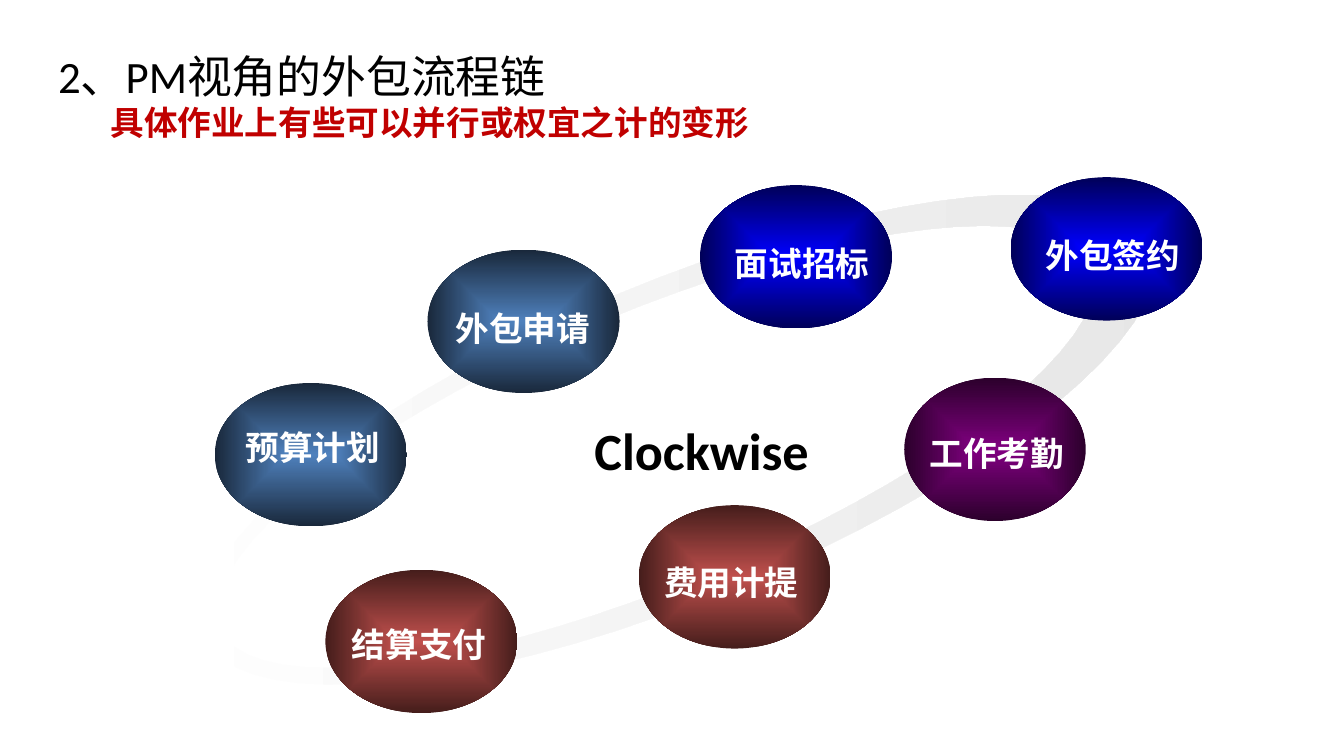
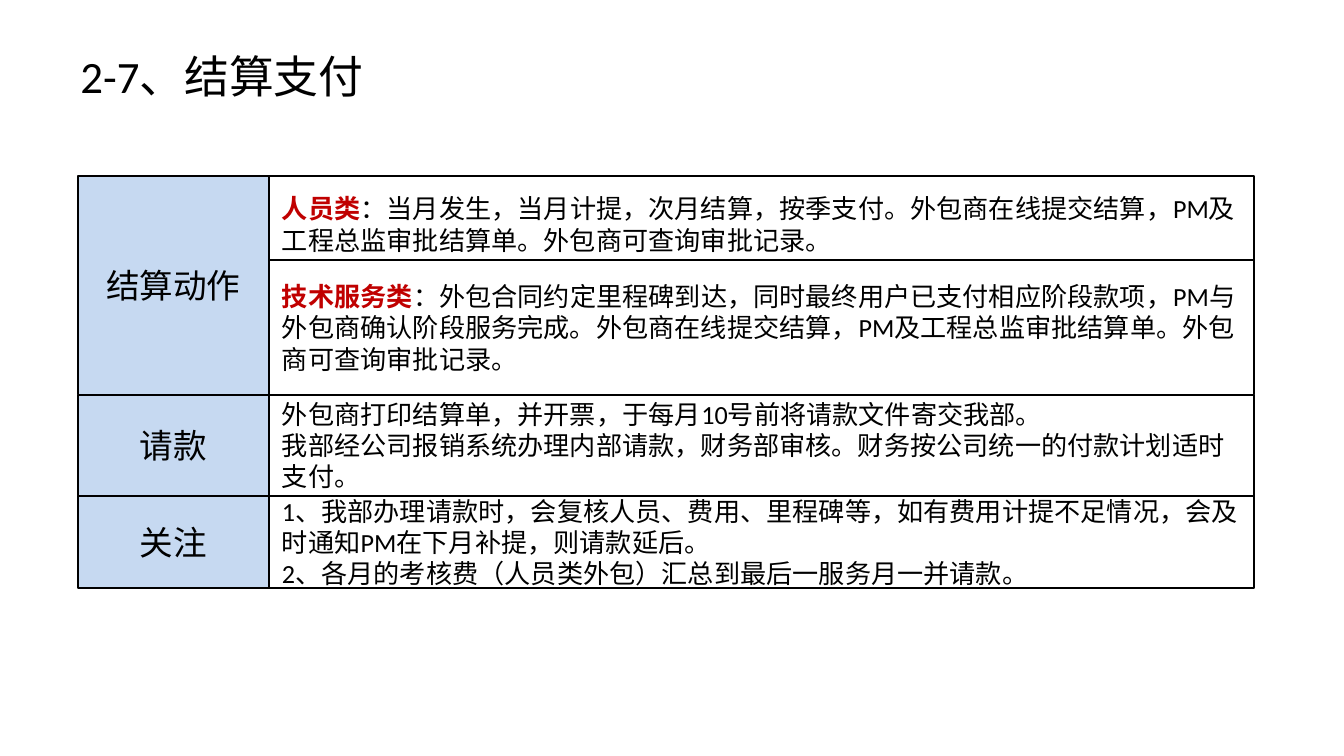
import math

from pptx import Presentation, util as u
from pptx.dml.color import RGBColor
from pptx.enum import shapes, text
from pptx.oxml import parse_xml
from pptx.oxml.ns import nsdecls, qn

COLOURS = {
    "ink": "000000",
    "accent": "C00000",
    "light": "FFFFFF",
    "ring": "E6E6E6",
    "header": "C6D9F1",
}
PHASES = {
    "plan": ("4F81BD", "19283B"),
    "contract": ("0000FF", "000058"),
    "work": ("800080", "2C002C"),
    "payment": ("C0504D", "451D1B"),
}
STEPS = [
    ("预算计划", "plan", 4.06, 7.24, 3.63, 0.33, 0.71),
    ("外包申请", "plan", 8.08, 4.72, 3.63, 0.28, 0.97),
    ("面试招标", "contract", 13.23, 3.5, 3.63, 0.41, 0.97),
    ("外包签约", "contract", 19.1, 3.35, 3.63, 0.41, 0.97),
    ("工作考勤", "work", 17.09, 7.14, 3.43, 0.23, 0.91),
    ("费用计提", "payment", 12.07, 9.55, 3.63, 0.23, 0.94),
    ("结算支付", "payment", 6.15, 10.77, 3.63, 0.25, 0.89),
]
STEP_HEIGHT = 2.71
EMPHASIS = {"bold": True, "colour": "accent"}
HEADING_LEFT, HEADING_WIDTH = 1.47, 3.61
BODY_LEFT, BODY_WIDTH = 5.08, 18.62
ROWS_TOP = 3.33
SETTLEMENT_GROUPS = [
    ("结算动作", [
        (1.59, (0.3, 0.08), [[
            ("人员类", EMPHASIS),
            ("：当月发生，当月计提，次月结算，按季支付。外包商在线提交结算，"
             "PM及工程总监审批结算单。外包商可查询审批记录。", {}),
        ]]),
        (2.54, (0.13, 0.13), [[
            ("技术服务类", EMPHASIS),
            ("：外包合同约定里程碑到达，同时最终用户已支付相应阶段款项，"
             "PM与外包商确认阶段服务完成。外包商在线提交结算，"
             "PM及工程总监审批结算单。外包商可查询审批记录。", {}),
        ]]),
    ]),
    ("请款", [
        (1.91, (0.13, 0.13), [
            "外包商打印结算单，并开票，于每月10号前将请款文件寄交我部。",
            "我部经公司报销系统办理内部请款，财务部审核。"
            "财务按公司统一的付款计划适时支付。",
        ]),
    ]),
    ("关注", [
        (1.75, (0.13, 0.13), [
            "1、我部办理请款时，会复核人员、费用、里程碑等，如有费用计提不足情况，"
            "会及时通知PM在下月补提，则请款延后。",
            "2、各月的考核费（人员类外包）汇总到最后一服务月一并请款。",
        ]),
    ]),
]


def rgb(hex_string):
    return RGBColor.from_string(hex_string)


def add_span(para, content, size=14, font="Calibri", colour="ink", bold=False):
    span = para.add_run()
    span.text = content
    span.font.size = u.Pt(size)
    span.font.name = font
    span.font.bold = bold
    span.font.color.rgb = rgb(COLOURS[colour])


def write(frame, paragraphs, align=text.PP_ALIGN.LEFT, indents=(), **style):
    for number, content in enumerate(paragraphs):
        para = frame.add_paragraph() if number else frame.paragraphs[0]
        para.alignment = align
        if number < len(indents):
            para._p.get_or_add_pPr().set("marL", str(u.Cm(indents[number])))
        spans = [(content, {})] if isinstance(content, str) else content
        for words, changes in spans:
            add_span(para, words, **{**style, **changes})


def ellipse_points(center_x, center_y, radius_x, radius_y, count=72):
    angles = [2 * math.pi * number / count for number in range(count)]
    return [(u.Cm(center_x + radius_x * math.cos(angle)),
             u.Cm(center_y + radius_y * math.sin(angle))) for angle in angles]


class SlideWriter:
    def __init__(self):
        self.deck = Presentation()
        self.deck.slide_width = u.Cm(25.4)
        self.deck.slide_height = u.Cm(14.29)
        self.page = None

    def new_page(self):
        self.page = self.deck.slides.add_slide(self.deck.slide_layouts[6])

    def text_box(self, paragraphs, x, y, width, height, wrap=True, **style):
        box = self.page.shapes.add_textbox(
            u.Cm(x), u.Cm(y), u.Cm(width), u.Cm(height))
        box.text_frame.word_wrap = wrap
        write(box.text_frame, paragraphs, **style)

    def title(self, paragraphs, x, width, height, **style):
        self.text_box(paragraphs, x, 0.79, width, height, size=24, **style)

    def paint(self, shape, first, last, angle=0, from_center=False):
        shape.shadow.inherit = False
        shape.line.fill.background()
        shape.fill.gradient()
        shape.fill.gradient_angle = angle
        for stop, colour in zip(shape.fill.gradient_stops, (first, last)):
            stop.color.rgb = rgb(colour)
        if from_center:
            linear = shape._element.spPr.find(".//" + qn("a:lin"))
            linear.getparent().replace(linear, parse_xml(
                f'<a:path {nsdecls("a")} path="rect"><a:fillToRect l="50000" '
                't="50000" r="50000" b="50000"/></a:path>'))

    def ring(self, outer, inner, rotation):
        builder = self.page.shapes.build_freeform(*outer[0])
        builder.add_line_segments(outer[1:], close=True)
        builder.move_to(*inner[0])
        builder.add_line_segments(inner[1:], close=True)
        ring = builder.convert_to_shape()
        ring.rotation = rotation
        self.paint(ring, COLOURS["light"], COLOURS["ring"], angle=rotation)

    def step(self, label, phase, x, y, width, label_x, label_y):
        oval = self.page.shapes.add_shape(
            shapes.MSO_SHAPE.OVAL,
            u.Cm(x), u.Cm(y), u.Cm(width), u.Cm(STEP_HEIGHT))
        self.paint(oval, *PHASES[phase], from_center=True)
        self.text_box([label], x + label_x, y + label_y, 3.05, 1.02,
                      wrap=False, size=18, font="DejaVu Sans",
                      colour="light", bold=True)

    def panel(self, paragraphs, x, y, width, height, fill=None,
              insets=(0.13, 0.13), **style):
        panel = self.page.shapes.add_shape(
            shapes.MSO_SHAPE.RECTANGLE,
            u.Cm(x), u.Cm(y), u.Cm(width), u.Cm(height))
        panel.shadow.inherit = False
        panel.line.color.rgb = rgb(COLOURS["ink"])
        panel.line.width = u.Pt(1)
        if fill:
            panel.fill.solid()
            panel.fill.fore_color.rgb = rgb(COLOURS[fill])
        else:
            panel.fill.background()
        frame = panel.text_frame
        frame.word_wrap = True
        frame.vertical_anchor = text.MSO_ANCHOR.MIDDLE
        frame.margin_top, frame.margin_bottom = map(u.Cm, insets)
        write(frame, paragraphs, **style)


def build_process_chain(writer):
    writer.new_page()
    subtitle = [("具体作业上有些可以并行或权宜之计的变形",
                 {"size": 18, **EMPHASIS})]
    writer.title(["2、PM视角的外包流程链", subtitle],
                 0.85, 16.94, 5.08, indents=(0, 0.99))
    writer.ring(ellipse_points(12.83, 8.31, 9.7, 2.98),
                ellipse_points(12.38, 8.27, 8.93, 2.58), 337.4)
    for step in STEPS:
        writer.step(*step)
    writer.text_box(["Clockwise"], 9.59, 7.78, 7.34, 1.45, size=28,
                    bold=True, align=text.PP_ALIGN.CENTER)


def build_settlement(writer):
    writer.new_page()
    writer.title(["2-7、结算支付"], 1.27, 15.04, 1.27)
    y = ROWS_TOP
    for heading, rows in SETTLEMENT_GROUPS:
        group_height = sum(row[0] for row in rows)
        writer.panel([heading], HEADING_LEFT, y, HEADING_WIDTH, group_height,
                     fill="header", size=18, align=text.PP_ALIGN.CENTER)
        for height, insets, body in rows:
            writer.panel(body, BODY_LEFT, y, BODY_WIDTH, height, insets=insets)
            y += height


def main():
    writer = SlideWriter()
    build_process_chain(writer)
    build_settlement(writer)
    writer.deck.save("out.pptx")


if __name__ == "__main__":
    main()
